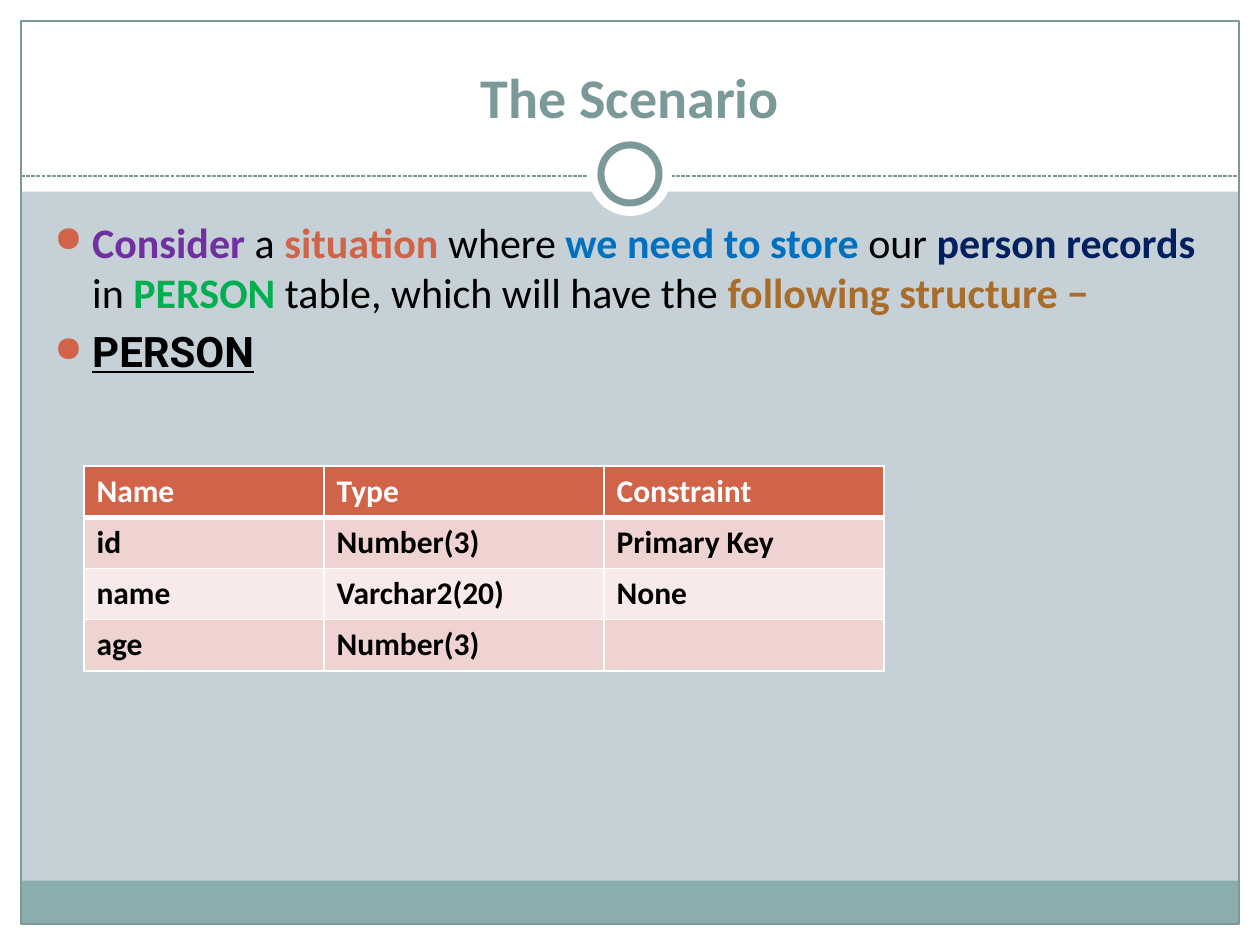
from lxml.etree import SubElement
from pptx import Presentation
from pptx.dml.color import RGBColor
from pptx.enum.dml import MSO_LINE
from pptx.enum.shapes import MSO_CONNECTOR, MSO_SHAPE
from pptx.enum.text import MSO_ANCHOR, MSO_AUTO_SIZE, PP_ALIGN
from pptx.oxml.ns import qn
from pptx.util import Pt

COLORS = {
    "background": "C5D1D7", "white": "FFFFFF", "black": "000000",
    "slate": "7C999A", "teal": "8CADAE", "accent": "D16349",
    "purple": "7030A0", "blue": "0070C0", "navy": "002060",
    "green": "00B050", "brown": "A96D2B",
    "band_dark": "EED3D0", "band_light": "F7EAE9",
}
SENTENCE = [
    ("Consider", "purple"), (" a ", None), ("situation", "accent"),
    (" where ", None), ("we need to store ", "blue"), ("our ", None),
    ("person records ", "navy"), ("in ", None), ("PERSON", "green"),
    (" table, which will have the ", None),
    ("following structure −", "brown"),
]
ROWS = [
    ("Name", "Type", "Constraint"),
    ("id", "Number(3)", "Primary Key"),
    ("name", "Varchar2(20)", "None"),
    ("age", "Number(3)", ""),
]
COLUMN_WIDTHS = (137.2, 160, 160)
ROW_HEIGHT = 29.25


def rgb(name):
    """Return the named colour."""
    return RGBColor.from_string(COLORS[name])


def add_text(paragraph, text, size=24, color="black", bold=False,
             underline=None, font="Calibri"):
    """Append a formatted run to a paragraph."""
    run = paragraph.add_run()
    run.text = text
    run.font.name = font
    run.font.size = Pt(size)
    run.font.bold = bold
    run.font.underline = underline
    run.font.color.rgb = rgb(color)


def add_box(slide, left, top, width, height, fill=None, line=None,
            weight=0.75, kind=MSO_SHAPE.RECTANGLE):
    """Add a plain preset shape."""
    shape = slide.shapes.add_shape(
        kind, Pt(left), Pt(top), Pt(width), Pt(height))
    shape.shadow.inherit = False
    if fill:
        shape.fill.solid()
        shape.fill.fore_color.rgb = rgb(fill)
    else:
        shape.fill.background()
    if line:
        shape.line.color.rgb = rgb(line)
        shape.line.width = Pt(weight)
    else:
        shape.line.fill.background()


def add_circle(slide, center_x, center_y, diameter, **style):
    """Add a circle around its centre."""
    add_box(slide, center_x - diameter / 2, center_y - diameter / 2,
            diameter, diameter, kind=MSO_SHAPE.OVAL, **style)


def add_dashed_line(slide, left, right, y):
    """Add a horizontal dashed rule."""
    line = slide.shapes.add_connector(
        MSO_CONNECTOR.STRAIGHT, Pt(left), Pt(y), Pt(right), Pt(y))
    line.line.color.rgb = rgb("slate")
    line.line.width = Pt(0.75)
    line.line.dash_style = MSO_LINE.SQUARE_DOT
    SubElement(line.element.spPr, qn("a:effectLst"))


def add_frame(slide):
    """Draw the margins, footer band, frame and ring."""
    for box in ((0, 528, 720, 12), (0, 0, 720, 109.5),
                (0, 0, 12, 540), (708, 0, 12, 540)):
        add_box(slide, *box, fill="white")
    add_box(slide, 12, 503.25, 696, 24.75, fill="teal")
    add_box(slide, 12, 12, 696, 516, line="slate")
    add_dashed_line(slide, 12, 708, 100.6)
    add_circle(slide, 360, 99.4, 48, fill="white")
    add_circle(slide, 360, 99.4, 33.2, fill="white", line="slate", weight=4)


def add_title(slide, text):
    """Place the title in front of the frame."""
    title = slide.shapes.title
    title.left, title.top = Pt(24), Pt(18)
    title.width, title.height = Pt(672), Pt(60)
    frame = title.text_frame
    frame.auto_size = MSO_AUTO_SIZE.NONE
    frame.vertical_anchor = MSO_ANCHOR.BOTTOM
    paragraph = frame.paragraphs[0]
    paragraph.alignment = PP_ALIGN.CENTER
    add_text(paragraph, text, size=32, color="slate", bold=True)
    title.element.getparent().append(title.element)


def add_bullet(paragraph):
    """Give a paragraph a hanging round bullet."""
    properties = paragraph._p.get_or_add_pPr()
    properties.set("marL", str(Pt(21.6)))
    properties.set("indent", str(Pt(-21.6)))
    color = SubElement(properties, qn("a:buClr"))
    SubElement(color, qn("a:srgbClr"), val=COLORS["accent"])
    SubElement(properties, qn("a:buSzPct"), val="85000")
    SubElement(properties, qn("a:buChar"), char="●")


def add_body(slide):
    """Add the two bulleted paragraphs."""
    box = slide.shapes.add_textbox(Pt(24), Pt(120), Pt(669.6), Pt(360))
    frame = box.text_frame
    frame.word_wrap = True
    sentence = frame.paragraphs[0]
    add_bullet(sentence)
    for text, color in SENTENCE:
        add_text(sentence, text, color=color or "black", bold=bool(color))
    heading = frame.add_paragraph()
    add_bullet(heading)
    heading.space_before = Pt(4.8)
    add_text(heading, "PERSON", bold=True, underline=True, font="Roboto")


def add_borders(cell, top, bottom):
    """Give a cell white borders."""
    properties = cell._tc.get_or_add_tcPr()
    for side, weight in (("L", 1), ("R", 1), ("T", top), ("B", bottom)):
        line = SubElement(properties, qn(f"a:ln{side}"), w=str(Pt(weight)))
        fill = SubElement(line, qn("a:solidFill"))
        SubElement(fill, qn("a:srgbClr"), val=COLORS["white"])


def add_structure_table(slide):
    """Add the table of column definitions."""
    table = slide.shapes.add_table(
        len(ROWS), len(COLUMN_WIDTHS), Pt(48), Pt(266.4),
        Pt(sum(COLUMN_WIDTHS)), Pt(ROW_HEIGHT * len(ROWS))).table
    for column, width in zip(table.columns, COLUMN_WIDTHS):
        column.width = Pt(width)
    for row_index, values in enumerate(ROWS):
        table.rows[row_index].height = Pt(ROW_HEIGHT)
        header = row_index == 0
        band = "band_dark" if row_index % 2 else "band_light"
        for column_index, value in enumerate(values):
            cell = table.cell(row_index, column_index)
            add_borders(cell, top=3 if row_index == 1 else 1,
                        bottom=3 if header else 1)
            cell.fill.solid()
            cell.fill.fore_color.rgb = rgb("accent" if header else band)
            if value:
                add_text(cell.text_frame.paragraphs[0], value, size=18,
                         color="white" if header else "black", bold=True)


def main():
    """Build and save the slide."""
    presentation = Presentation()
    presentation.slide_width, presentation.slide_height = Pt(720), Pt(540)
    slide = presentation.slides.add_slide(presentation.slide_layouts[5])
    slide.background.fill.solid()
    slide.background.fill.fore_color.rgb = rgb("background")
    add_frame(slide)
    add_title(slide, "The Scenario")
    add_body(slide)
    add_structure_table(slide)
    presentation.save("out.pptx")


if __name__ == "__main__":
    main()
